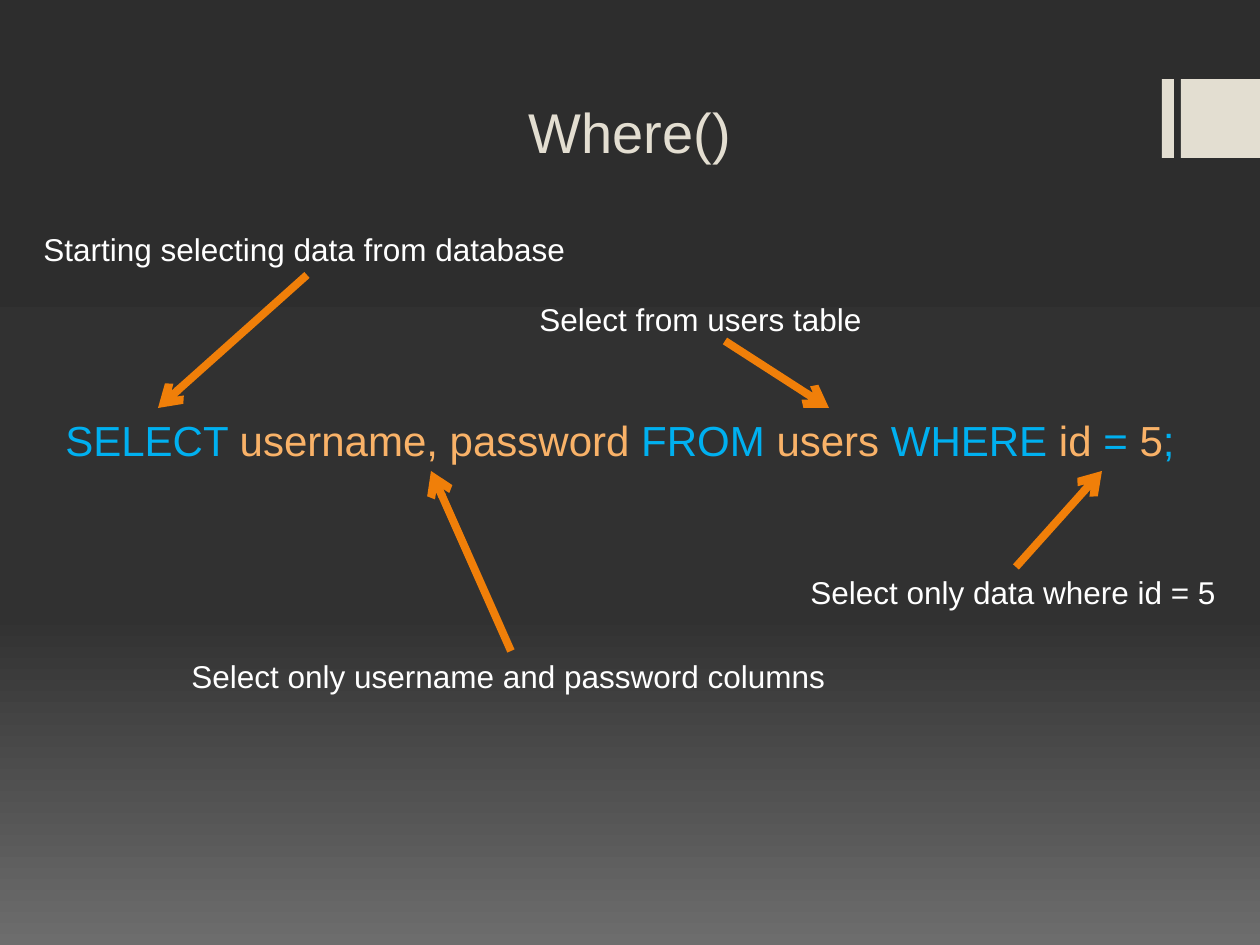
import copy

import lxml.etree
import pptx
import pptx.dml.color
import pptx.enum.shapes
import pptx.enum.text
import pptx.oxml
import pptx.oxml.ns
import pptx.util

RGB = pptx.dml.color.RGBColor
ANCHOR = pptx.enum.text.MSO_ANCHOR
ALIGN = pptx.enum.text.PP_ALIGN
CREAM = RGB(0xE3, 0xDE, 0xD1)
WHITE = RGB(0xFF, 0xFF, 0xFF)
KEYWORD = RGB(0x00, 0xB0, 0xF0)
VALUE = RGB(0xF9, 0xB2, 0x68)
ORANGE = RGB(0xF0, 0x7F, 0x09)
BACKGROUND = [(0, RGB(0x2D, 0x2D, 0x2D)), (0.65, RGB(0x31, 0x31, 0x31)),
              (1, RGB(0x6D, 0x6D, 0x6D))]
PX = 914400 // 126
qn = pptx.oxml.ns.qn


def add_text(box, runs, size, wrap=False, anchor=ANCHOR.TOP, align=ALIGN.LEFT):
    """Add a one-paragraph text box from (text, colour) runs."""
    tf = s.shapes.add_textbox(*[v * PX for v in box]).text_frame
    tf.word_wrap = wrap
    tf.vertical_anchor = anchor
    if not wrap:
        tf.auto_size = pptx.enum.text.MSO_AUTO_SIZE.SHAPE_TO_FIT_TEXT
    p = tf.paragraphs[0]
    p.alignment = align
    for text, color in runs:
        r = p.add_run()
        r.text = text
        r.font.name = "Arial"
        r.font.size = pptx.util.Pt(size)
        r.font.color.rgb = color


def add_arrow(start, end):
    """Draw an orange arrow from start to end."""
    line = s.shapes.add_connector(
        pptx.enum.shapes.MSO_CONNECTOR.STRAIGHT, *[v * PX for v in start + end])
    line.line.color.rgb = ORANGE
    line.line.width = pptx.util.Pt(4.5)
    ln = line.line._get_or_add_ln()
    lxml.etree.SubElement(ln, qn("a:tailEnd"), type="arrow")
    lxml.etree.SubElement(line._element.spPr, qn("a:effectLst"))


prs = pptx.Presentation()
prs.slide_width = 1260 * PX
prs.slide_height = 945 * PX
s = prs.slides.add_slide(prs.slide_layouts[6])

# Background gradient, top to bottom
fill = s.background.fill
fill.gradient()
fill.gradient_angle = 270
first = fill.gradient_stops[0]._gs
first.addnext(copy.deepcopy(first))
for stop, (position, color) in zip(fill.gradient_stops, BACKGROUND):
    stop.position = position
    stop.color.rgb = color

# Corner bars
for left, width in [(1162, 12), (1181, 79)]:
    sp = s.shapes.add_shape(pptx.enum.shapes.MSO_SHAPE.RECTANGLE,
                            left * PX, 79 * PX, width * PX, 79 * PX)
    sp.shadow.inherit = False
    sp.fill.solid()
    sp.fill.fore_color.rgb = CREAM
    sp.line.fill.background()

# Title and query
add_text((126, 73, 1008, 98), [("Where()", CREAM)], 32,
         wrap=True, anchor=ANCHOR.BOTTOM, align=ALIGN.CENTER)
add_text((53, 408, 1145, 63), [
    ("SELECT ", KEYWORD), ("username, password", VALUE), (" FROM ", KEYWORD),
    ("users ", VALUE), ("WHERE ", KEYWORD), ("id", VALUE), (" = ", KEYWORD),
    ("5", VALUE), (";", KEYWORD)], 24)

# Each note: text, left, top, width, arrow start, arrow end
NOTES = [
    ("Starting selecting data from database", 31, 224, 552, (307, 275), (158, 408)),
    ("Select only username and password columns", 179, 651, 665, (511, 651), (431, 471)),
    ("Select from users table", 527, 294, 350, (725, 341), (829, 408)),
    ("Select only data where id = 5", 798, 567, 435, (1016, 567), (1102, 471)),
]
for text, left, top, width, start, end in NOTES:
    add_text((left, top, width, 50), [(text, WHITE)], 18)
    add_arrow(start, end)

prs.save("out.pptx")
